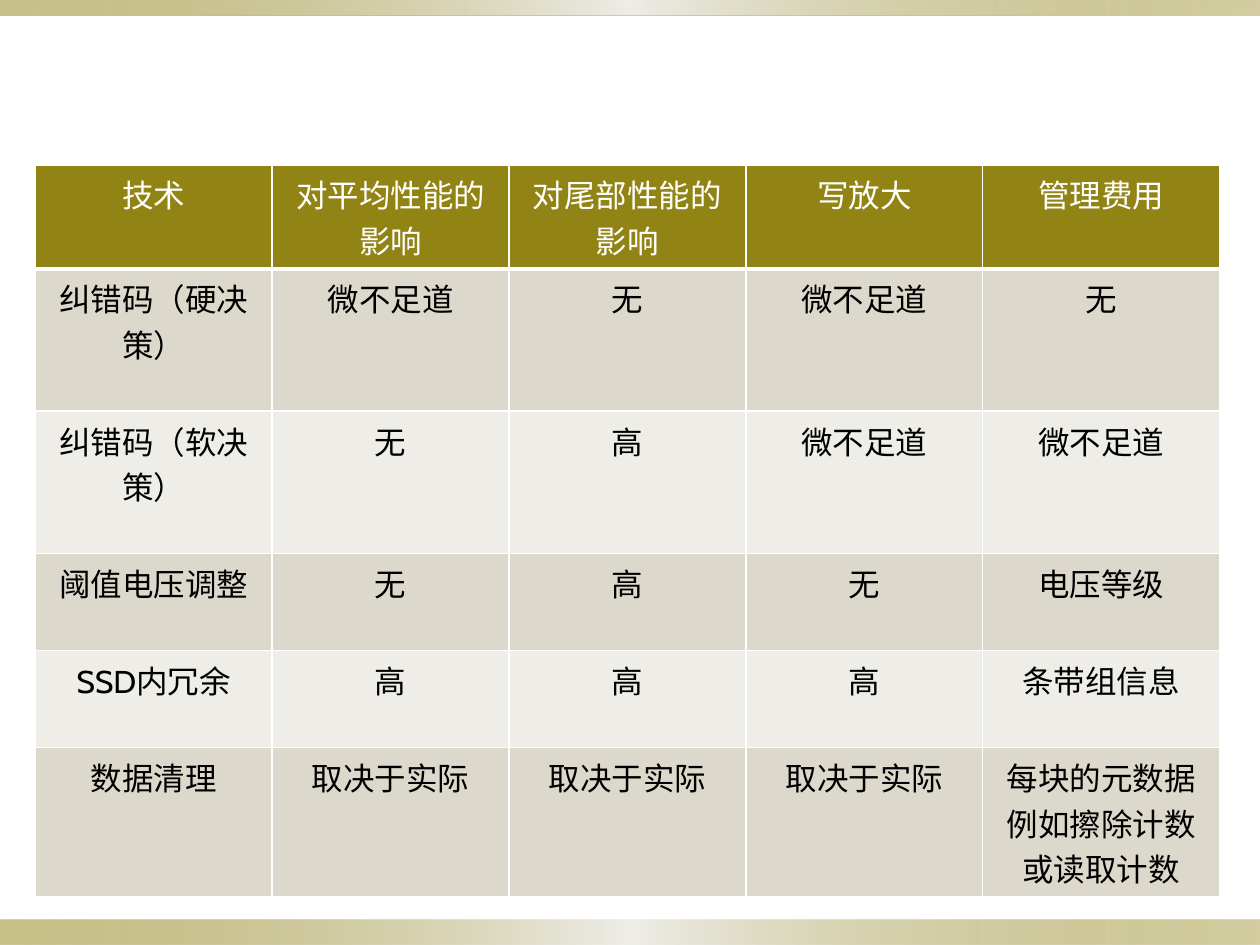
import pptx
import pptx.dml.color
import pptx.enum.shapes
import pptx.enum.text
import pptx.oxml
import pptx.oxml.ns
import pptx.util

RGB = pptx.dml.color.RGBColor
OLIVE = RGB(0x91, 0x84, 0x15)
SAND = RGB(0xDC, 0xD9, 0xCC)
PALE = RGB(0xEE, 0xED, 0xE8)
WHITE = RGB(0xFF, 0xFF, 0xFF)
BLACK = RGB(0x00, 0x00, 0x00)

BAND_STOPS = [(0, OLIVE, 50), (50, PALE, 100), (100, OLIVE, 40)]
ROW_HEIGHTS = [0.81, 1.13, 1.13, 0.77, 0.77, 1.18]
ROWS = [
    ["技术", "对平均性能的影响", "对尾部性能的影响", "写放大", "管理费用"],
    ["纠错码（硬决策）", "微不足道", "无", "微不足道", "无"],
    ["纠错码（软决策）", "无", "高", "微不足道", "微不足道"],
    ["阈值电压调整", "无", "高", "无", "电压等级"],
    ["SSD内冗余", "高", "高", "高", "条带组信息"],
    ["数据清理", "取决于实际", "取决于实际", "取决于实际",
     "每块的元数据\n例如擦除计数或读取计数"],
]


class SlideMaker:
    """Hold the text style and the current slide, and draw its elements."""

    text_format = {"name": "Cabin", "size": pptx.util.Pt(18), "bold": False}

    def __init__(self, deck):
        self.width, self.height = deck.slide_width, deck.slide_height
        self.page = deck.slides.add_slide(deck.slide_layouts[6])

    def place(self, left, top, width, height):
        return (round(left * self.width), round(top * self.height),
                round(width * self.width), round(height * self.height))

    def band(self, top, height):
        bar = self.page.shapes.add_shape(
            pptx.enum.shapes.MSO_SHAPE.RECTANGLE, *self.place(0, top, 1, height))
        bar.shadow.inherit = False
        bar.line.fill.background()
        bar.fill.gradient()
        bar.fill.gradient_angle = 0
        stops = bar.fill.gradient_stops[0]._gs.getparent()
        for stop in list(stops):
            stops.remove(stop)
        for position, color, opacity in BAND_STOPS:
            stops.append(pptx.oxml.parse_xml(
                f'<a:gs {pptx.oxml.ns.nsdecls("a")} pos="{position * 1000}">'
                f'<a:srgbClr val="{color}"><a:alpha val="{opacity * 1000}"/>'
                '</a:srgbClr></a:gs>'))

    def border(self, cell, bottom):
        properties = cell._tc.get_or_add_tcPr()
        for side, points in zip("LRTB", (1, 1, 1, bottom)):
            properties.append(pptx.oxml.parse_xml(
                f'<a:ln{side} {pptx.oxml.ns.nsdecls("a")} w="{pptx.util.Pt(points)}">'
                f'<a:solidFill><a:srgbClr val="{WHITE}"/></a:solidFill></a:ln{side}>'))

    def cell(self, cell, text, fill, color, bottom):
        self.border(cell, bottom)
        cell.fill.solid()
        cell.fill.fore_color.rgb = fill
        cell.text = text
        for para in cell.text_frame.paragraphs:
            para.alignment = pptx.enum.text.PP_ALIGN.CENTER
            for span in para.runs:
                for key, value in self.text_format.items():
                    setattr(span.font, key, value)
                span.font.color.rgb = color

    def table(self, rows, heights, left, top, width):
        total = pptx.util.Inches(sum(heights)) / self.height
        table = self.page.shapes.add_table(
            len(rows), len(rows[0]), *self.place(left, top, width, total)).table
        for index, (texts, height) in enumerate(zip(rows, heights)):
            table.rows[index].height = pptx.util.Inches(height)
            if index == 0:
                style = OLIVE, WHITE, 3
            else:
                style = (SAND if index % 2 else PALE), BLACK, 1
            for column, text in enumerate(texts):
                self.cell(table.cell(index, column), text, *style)


def main():
    deck = pptx.Presentation()
    deck.slide_width = pptx.util.Inches(10)
    deck.slide_height = pptx.util.Inches(7.5)
    maker = SlideMaker(deck)
    maker.band(top=7.3 / 7.5, height=0.2 / 7.5)
    maker.band(top=0, height=0.12 / 7.5)
    maker.table(ROWS, ROW_HEIGHTS, left=0.028, top=1.31 / 7.5, width=0.94)
    deck.save("out.pptx")


if __name__ == "__main__":
    main()
